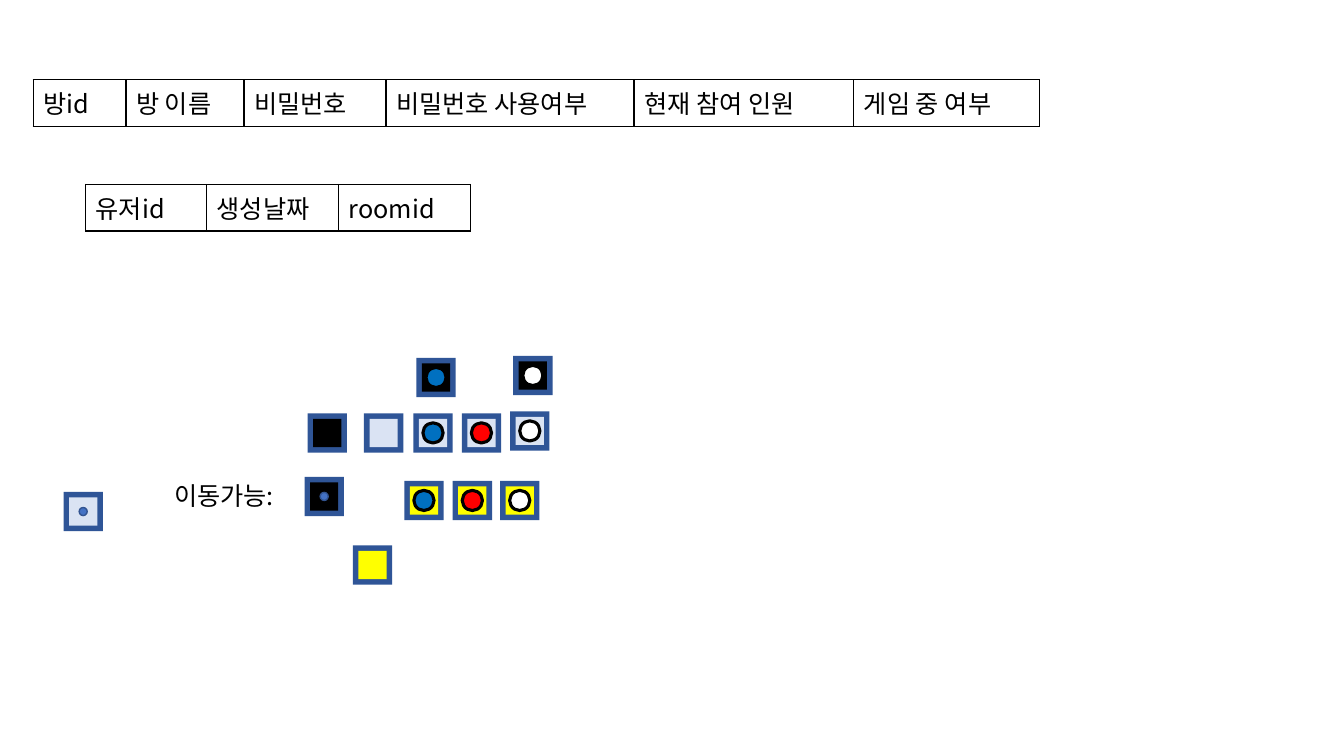
from lxml.etree import SubElement
from pptx import Presentation
from pptx.dml.color import RGBColor
from pptx.enum.shapes import MSO_SHAPE
from pptx.oxml.ns import qn
from pptx.util import Emu, Pt

PX = 9144
FONT = "Noto Sans CJK KR"
COLORS = {
    "black": "000000",
    "white": "FFFFFF",
    "frame": "2F5597",
    "pale": "DAE3F3",
    "yellow": "FFFF00",
    "blue": "0070C0",
    "red": "FF0000",
    "hint": "4472C4",
    "hint_edge": "325491",
}
ROOM_COLUMNS = [
    ("방id", 92), ("방 이름", 117), ("비밀번호", 141),
    ("비밀번호 사용여부", 246), ("현재 참여 인원", 218), ("게임 중 여부", 184),
]
USER_COLUMNS = [("유저id", 120), ("생성날짜", 131), ("roomid", 131)]
TILE, FLOOR, STONE, HINT = 39, 28, 20, 8
TILES = [
    (361, 410, "pale", None),
    (63, 488, "pale", "hint"),
    (410, 410, "pale", "blue"),
    (458, 410, "pale", "red"),
    (506, 408, "pale", "white"),
    (305, 410, "black", None),
    (302, 473, "black", "hint"),
    (350, 541, "yellow", None),
    (496, 477, "yellow", "white"),
    (401, 477, "yellow", "blue"),
    (449, 477, "yellow", "red"),
    (413, 355, "black", "blue"),
    (509, 353, "black", "white"),
]


def px(length):
    return Emu(round(length * PX))


def color(name):
    return RGBColor.from_string(COLORS[name])


def write(frame, text, size=18, ink="black", font=FONT):
    run = frame.paragraphs[0].add_run()
    run.text = text
    run.font.size = Pt(size)
    run.font.name = font
    run.font.color.rgb = color(ink)
    SubElement(run.font._element, qn("a:ea"), typeface=font)


def add_border(cell):
    properties = cell._tc.get_or_add_tcPr()
    for side in ("lnL", "lnR", "lnT", "lnB"):
        edge = SubElement(properties, qn(f"a:{side}"), w=str(Pt(1)))
        fill = SubElement(edge, qn("a:solidFill"))
        SubElement(fill, qn("a:srgbClr"), val=COLORS["black"])


def add_schema(slide, left, top, columns, height=43):
    width = sum(column_width for _, column_width in columns)
    schema = slide.shapes.add_table(
        1, len(columns), px(left), px(top), px(width), px(height)).table
    schema.first_row = False
    schema.horz_banding = False
    for index, (heading, column_width) in enumerate(columns):
        schema.columns[index].width = px(column_width)
        cell = schema.cell(0, index)
        add_border(cell)
        cell.fill.background()
        write(cell.text_frame, heading)


def add_centred(group, kind, left, top, size, fill, edge=None, weight=0):
    inset = (TILE - size) / 2
    part = group.shapes.add_shape(
        kind, px(left + inset), px(top + inset), px(size), px(size))
    part.shadow.inherit = False
    part.fill.solid()
    part.fill.fore_color.rgb = color(fill)
    if edge:
        part.line.color.rgb = color(edge)
        part.line.width = Pt(weight)
    else:
        part.line.fill.background()


def add_tile(slide, left, top, floor, stone):
    tile = slide.shapes.add_group_shape()
    add_centred(tile, MSO_SHAPE.RECTANGLE, left, top, TILE, "frame")
    add_centred(tile, MSO_SHAPE.RECTANGLE, left, top, FLOOR, floor)
    if stone == "hint":
        add_centred(tile, MSO_SHAPE.OVAL, left, top, HINT, stone, "hint_edge", 1)
    elif stone:
        add_centred(tile, MSO_SHAPE.OVAL, left, top, STONE, stone, "black", 2.25)


def add_label(slide, left, top, width, height, text):
    label = slide.shapes.add_textbox(px(left), px(top), px(width), px(height))
    label.text_frame.word_wrap = False
    write(label.text_frame, text)


def main():
    deck = Presentation()
    deck.slide_width, deck.slide_height = px(1333), px(750)
    slide = deck.slides.add_slide(deck.slide_layouts[6])
    add_schema(slide, 85, 183, USER_COLUMNS)
    add_schema(slide, 33, 79, ROOM_COLUMNS)
    for tile in TILES:
        add_tile(slide, *tile)
    add_label(slide, 163, 472, 136, 40, "이동가능:")
    deck.save("out.pptx")


if __name__ == "__main__":
    main()
